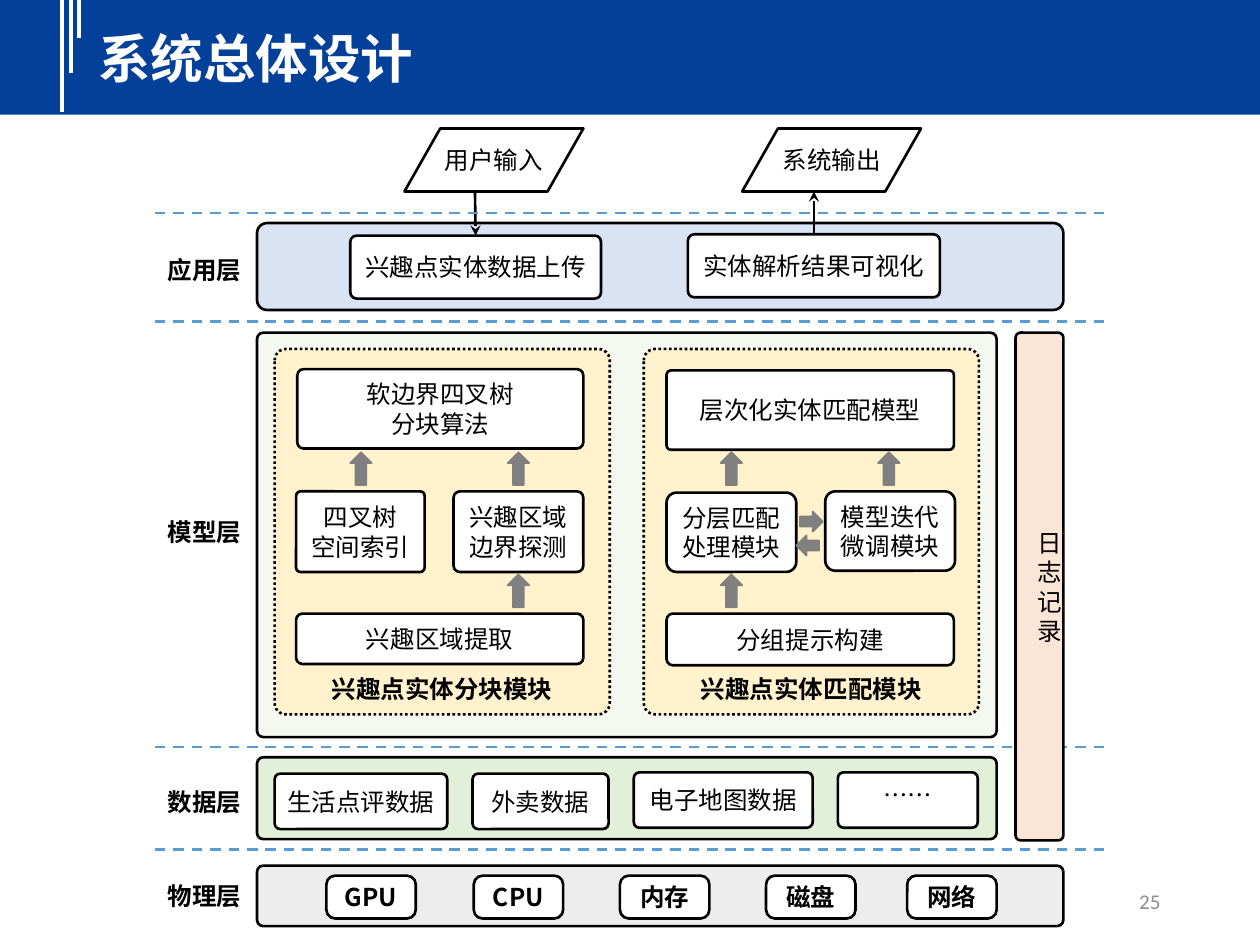
"""Build the layered system architecture slide on a grid of 100 columns by 75 rows."""
from lxml import etree
from pptx import Presentation
from pptx.dml.color import RGBColor
from pptx.enum.dml import MSO_LINE
from pptx.enum.shapes import MSO_CONNECTOR, MSO_SHAPE
from pptx.enum.text import MSO_ANCHOR, PP_ALIGN
from pptx.oxml.ns import qn
from pptx.util import Inches, Pt

ROUNDED, PARALLELOGRAM = MSO_SHAPE.ROUNDED_RECTANGLE, MSO_SHAPE.FLOWCHART_DATA
RECTANGLE, UP_ARROW = MSO_SHAPE.RECTANGLE, MSO_SHAPE.UP_ARROW
STRAIGHT, DASH, DOTS = MSO_CONNECTOR.STRAIGHT, MSO_LINE.DASH, MSO_LINE.ROUND_DOT
TOP, MIDDLE = MSO_ANCHOR.TOP, MSO_ANCHOR.MIDDLE
LEFT, CENTER, RIGHT = PP_ALIGN.LEFT, PP_ALIGN.CENTER, PP_ALIGN.RIGHT
FONT = "Noto Sans CJK SC"
COLORS = {
    "banner": "02409A", "white": "FFFFFF", "black": "000000", "divider": "5B9BD5",
    "application": "DAE3F3", "model": "F5F8F1", "data": "E2F0D9", "physical": "EDEDED",
    "module": "FFF2CC", "log": "FBE5D6", "arrow": "808080", "number": "8C8C8C",
}
COLORS = {name: RGBColor.from_string(value) for name, value in COLORS.items()}

presentation = Presentation()
presentation.slide_width, presentation.slide_height = Inches(10), Inches(7.5)
UNIT = presentation.slide_width // 100
slide = presentation.slides.add_slide(presentation.slide_layouts[5])


def write(shape, text, size=14, bold=False, color="black", align=CENTER, anchor=MIDDLE, font=FONT):
    frame = shape.text_frame
    frame.word_wrap = True
    frame.vertical_anchor = anchor
    frame.margin_left = frame.margin_right = frame.margin_top = frame.margin_bottom = 0
    paragraph = frame.paragraphs[0]
    paragraph.text = text
    paragraph.alignment = align
    paragraph.font.size, paragraph.font.bold = Pt(size), bold
    paragraph.font.color.rgb = COLORS[color]
    paragraph.font.name = font
    defaults = paragraph._p.pPr.find(qn("a:defRPr"))
    etree.SubElement(defaults, qn("a:ea")).set("typeface", font)


def draw(kind, left, top, width, height, fill="white", line="black", radius=0.5, weight=1.5):
    shape = slide.shapes.add_shape(kind, *(round(v * UNIT) for v in (left, top, width, height)))
    shape.shadow.inherit = False
    if fill:
        shape.fill.solid()
        shape.fill.fore_color.rgb = COLORS[fill]
    else:
        shape.fill.background()
    if line:
        shape.line.color.rgb = COLORS[line]
        shape.line.width = Pt(weight)
    else:
        shape.line.fill.background()
    if kind == ROUNDED:
        shape.adjustments[0] = radius / min(width, height)
    return shape


draw(RECTANGLE, 0, -0.3, 100, 9.4, "banner", None)
title = slide.shapes.title
title.left, title.top, title.width, title.height = (round(v * UNIT) for v in (7.8, 1.6, 90, 6))
write(title, "系统总体设计", 30, True, "white", LEFT)
slide.shapes._spTree.append(title._element)

for name, top, width, height, radius, label, label_middle in (
    ("application", 17.7, 64, 6.9, 0.8, "应用层", 21.4),
    ("model", 26.4, 58.7, 32.1, 0.5, "模型层", 42.2),
    ("data", 60.1, 58.7, 6.5, 0.5, "数据层", 63.6),
    ("physical", 68.7, 64, 4.8, 0.5, "物理层", 71.1),
):
    draw(ROUNDED, 20.4, top, width, height, name, radius=radius)
    label_box = slide.shapes.add_textbox(
        *(round(v * UNIT) for v in (13.3, label_middle - 1.7, 6.8, 3.4)))
    write(label_box, label, bold=True, align=LEFT)

lines = [(4.9 + 0.7 * index, -0.3, 4.9 + 0.7 * index, bottom, "white", 2.25, None)
         for index, bottom in enumerate((8.9, 5.8, 3))]
lines += [(37.7, 15.2, 37.7, 18.7, "black", 1.5, None), (64.6, 18.6, 64.6, 15.2, "black", 1.5, None)]
lines += [(12.3, row, 87.7, row, "divider", 1.5, DASH) for row in (16.9, 25.5, 59.3, 67.4)]
flows = []
for *ends, color, weight, dash in lines:
    connector = slide.shapes.add_connector(STRAIGHT, *(round(v * UNIT) for v in ends))
    connector.line.color.rgb = COLORS[color]
    connector.line.width = Pt(weight)
    if dash:
        connector.line.dash_style = dash
    if color == "black":
        etree.SubElement(connector.line._get_or_add_ln(), qn("a:tailEnd")).set("type", "stealth")
        flows.append(connector)
    etree.SubElement(connector._element.spPr, qn("a:effectLst"))

log = draw(ROUNDED, 80.6, 26.4, 3.8, 40.3, "log", radius=0.4)
write(log, "日志记录")
log.text_frame.margin_left = round(1.6 * UNIT)

for left, text in ((32.1, "用户输入"), (58.9, "系统输出")):
    write(draw(PARALLELOGRAM, left, 10.2, 14.2, 5, None), text)

for left, name in ((21.8, "兴趣点实体分块模块"), (51.1, "兴趣点实体匹配模块")):
    module = draw(ROUNDED, left, 27.7, 26.6, 29, "module", radius=0.9)
    module.line.dash_style = DOTS
    write(module, name, bold=True, anchor=MSO_ANCHOR.BOTTOM)
    module.text_frame.margin_bottom = round(0.6 * UNIT)

boxes = {}
for left, top, width, height, radius, text in (
    (27.8, 18.7, 19.9, 5, 0.5, "兴趣点实体数据上传"),
    (54.6, 18.6, 20, 5, 0.5, "实体解析结果可视化"),
    (23.6, 29.3, 22.7, 6.3, 0.5, "软边界四叉树\v分块算法"),
    (23.5, 39, 10.2, 6.4, 0.35, "四叉树\v空间索引"),
    (36, 39, 10.3, 6.4, 0.5, "兴趣区域\v边界探测"),
    (23.5, 48.7, 22.8, 4, 0.5, "兴趣区域提取"),
    (52.9, 29.4, 22.8, 6.3, 0.35, "层次化实体匹配模型"),
    (52.9, 39.1, 10.3, 6.3, 0.8, "分层匹配\v处理模块"),
    (65.5, 39, 10.3, 6.3, 0.8, "模型迭代\v微调模块"),
    (52.9, 48.7, 22.8, 4.1, 0.5, "分组提示构建"),
    (21.8, 61.4, 13.7, 4.4, 0.45, "生活点评数据"),
    (37.5, 61.4, 10.8, 4.4, 0.45, "外卖数据"),
    (50.3, 61.3, 14.2, 4.4, 0.45, "电子地图数据"),
    (66.5, 61.3, 11.1, 4.4, 0.45, "……"),
):
    boxes[text] = draw(ROUNDED, left, top, width, height, radius=radius)
    write(boxes[text], text, anchor=TOP if text == "……" else MIDDLE)
boxes["……"].text_frame.margin_top = round(0.5 * UNIT)

flows[0].end_connect(boxes["兴趣点实体数据上传"], 0)
flows[1].begin_connect(boxes["实体解析结果可视化"], 0)

for left, top, width, height, rotation in (
    (27.8, 35.9, 1.7, 2.6, 0), (40.3, 35.9, 1.7, 2.6, 0), (40.3, 45.6, 1.7, 2.6, 0),
    (57.2, 35.9, 1.7, 2.6, 0), (69.7, 35.9, 1.7, 2.6, 0), (57.2, 45.6, 1.7, 2.6, 0),
    (63.6, 40.5, 1.6, 1.8, 90), (63.3, 42.4, 1.6, 1.8, 270),
):
    draw(UP_ARROW, left, top, width, height, "arrow", "arrow", weight=1).rotation = rotation

for left, text in ((25.9, "GPU"), (37.6, "CPU"), (49.2, "内存"), (60.8, "磁盘"), (72, "网络")):
    write(draw(ROUNDED, left, 69.5, 7.1, 3.4, radius=0.7), text, bold=True)

number = slide.shapes.add_textbox(*(round(v * UNIT) for v in (70.6, 69.5, 21.5, 4)))
write(number, "25", 12, color="number", align=RIGHT, font="Calibri")

presentation.save("out.pptx")
